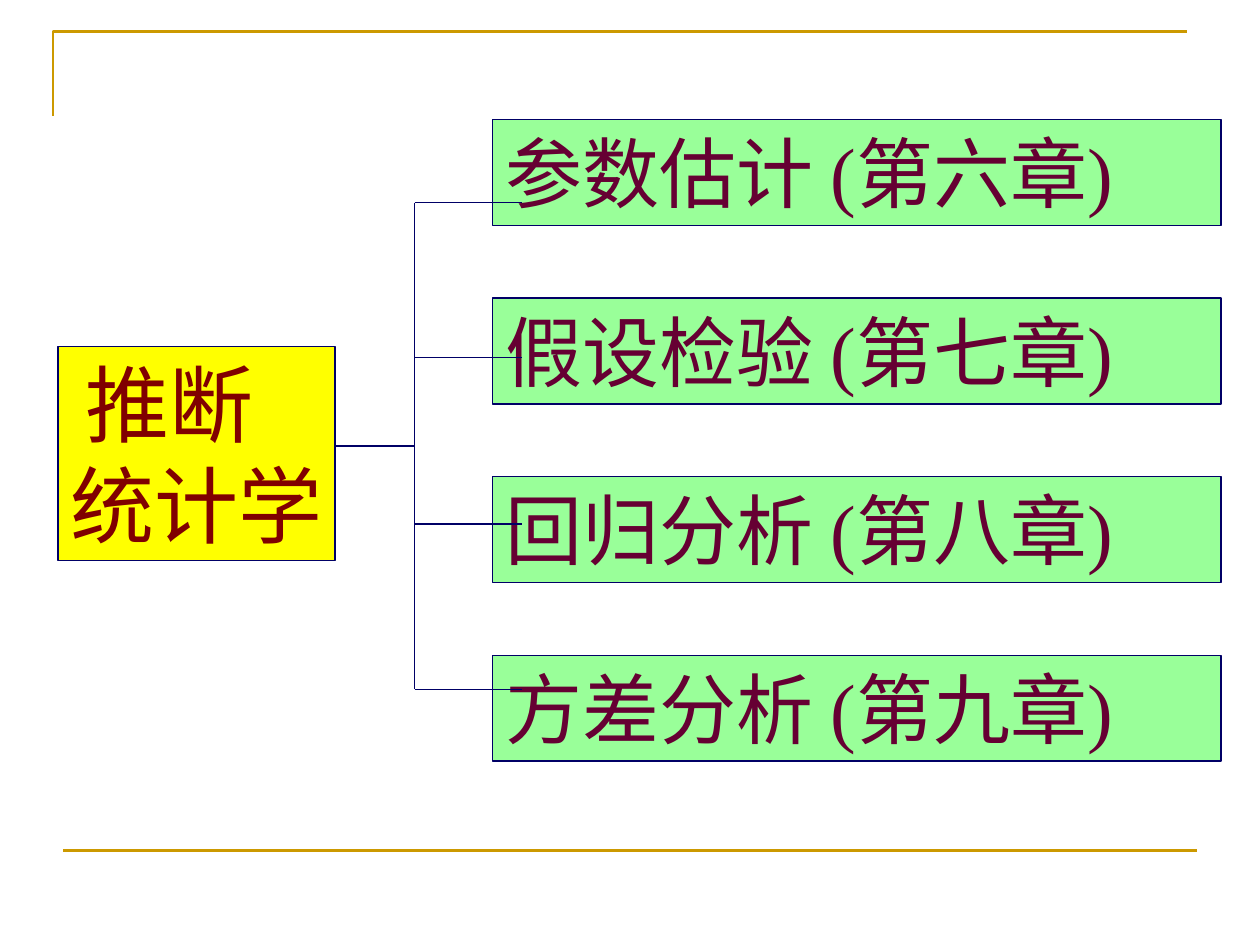
from pptx import Presentation
from pptx.dml.color import RGBColor
from pptx.enum.shapes import MSO_CONNECTOR, MSO_SHAPE
from pptx.enum.text import MSO_ANCHOR, PP_ALIGN
from pptx.oxml.ns import qn
from pptx.util import Inches, Pt
from lxml.etree import SubElement

# Content: each branch has its text and the height of its line
ROOT = ["推断", "统计学"]
BRANCHES = [
    ("参数估计 (第六章)", 1.61),
    ("假设检验 (第七章)", 2.84),
    ("回归分析 (第八章)", 4.16),
    ("方差分析 (第九章)", 5.47),
]

THEME = {
    "gold": "CC9900", "navy": "000066", "green": "99FF99", "yellow": "FFFF00",
    "plum": "660033", "maroon": "800000",
    "latin": "Times New Roman", "cjk": "Noto Sans CJK SC", "root_cjk": "Noto Sans CJK JP",
    "branch_size": 44, "root_size": 48, "rule": 1.5, "thin": 0.75,
}

# Layout in inches
BOX_LEFT, BOX_TOP, BOX_W, BOX_H = 3.91, 0.95, 5.78, 0.84
BOX_STEP = (5.2 - BOX_TOP) / (len(BRANCHES) - 1)
TRUNK_X, BRANCH_END, STEM_START, STEM_Y = 3.29, 4.14, 2.61, 3.54


def rgb(name):
    return RGBColor.from_string(THEME[name])


def add_line(s, x1, y1, x2, y2, color="navy", width=THEME["thin"]):
    c = s.shapes.add_connector(MSO_CONNECTOR.STRAIGHT, Inches(x1), Inches(y1),
                               Inches(x2), Inches(y2))
    c.line.color.rgb = rgb(color)
    c.line.width = Pt(width)
    SubElement(c._element.spPr, qn("a:effectLst"))


def add_text(p, text, *, size, color, latin, cjk, indent=0):
    p.alignment = PP_ALIGN.LEFT
    p._p.get_or_add_pPr().set("marL", str(Inches(indent)))
    r = p.add_run()
    r.text = text
    r.font.size = Pt(size)
    r.font.color.rgb = rgb(color)
    r.font.name = latin
    SubElement(r._r.get_or_add_rPr(), qn("a:ea")).set("typeface", cjk)


def add_box(s, x, y, w, h, fill):
    sp = s.shapes.add_shape(MSO_SHAPE.RECTANGLE, Inches(x), Inches(y), Inches(w), Inches(h))
    sp.shadow.inherit = False
    sp.fill.solid()
    sp.fill.fore_color.rgb = rgb(fill)
    sp.line.color.rgb = rgb("navy")
    sp.line.width = Pt(THEME["thin"])
    tf = sp.text_frame
    tf.word_wrap = True
    tf.vertical_anchor = MSO_ANCHOR.TOP
    tf.margin_right = 0
    return tf


prs = Presentation()
prs.slide_width, prs.slide_height = Inches(10), Inches(7.5)
s = prs.slides.add_slide(prs.slide_layouts[6])

# Gold frame: corner at the top, rule at the bottom
fb = s.shapes.build_freeform(Inches(0.42), Inches(0.92))
fb.add_line_segments([(Inches(0.42), Inches(0.25)), (Inches(9.42), Inches(0.25))], close=False)
corner = fb.convert_to_shape()
corner.shadow.inherit = False
corner.fill.background()
corner.line.color.rgb = rgb("gold")
corner.line.width = Pt(THEME["rule"])
add_line(s, 0.5, 6.75, 9.5, 6.75, "gold", THEME["rule"])

# Branch boxes
for i, (text, _) in enumerate(BRANCHES):
    tf = add_box(s, BOX_LEFT, BOX_TOP + i * BOX_STEP, BOX_W, BOX_H, "green")
    add_text(tf.paragraphs[0], text, size=THEME["branch_size"], color="plum",
             latin=THEME["latin"], cjk=THEME["cjk"])

# Tree lines: trunk, branches, stem
add_line(s, TRUNK_X, BRANCHES[0][1], TRUNK_X, BRANCHES[-1][1])
for _, y in BRANCHES:
    add_line(s, TRUNK_X, y, BRANCH_END, y)
add_line(s, TRUNK_X, STEM_Y, STEM_START, STEM_Y)

# Root box, first line slightly indented
tf = add_box(s, 0.46, 2.75, 2.2, 1.7, "yellow")
for i, text in enumerate(ROOT):
    p = tf.add_paragraph() if i else tf.paragraphs[0]
    add_text(p, text, size=THEME["root_size"], color="maroon", latin=THEME["root_cjk"],
             cjk=THEME["root_cjk"], indent=0 if i else 0.12)

prs.save("out.pptx")
